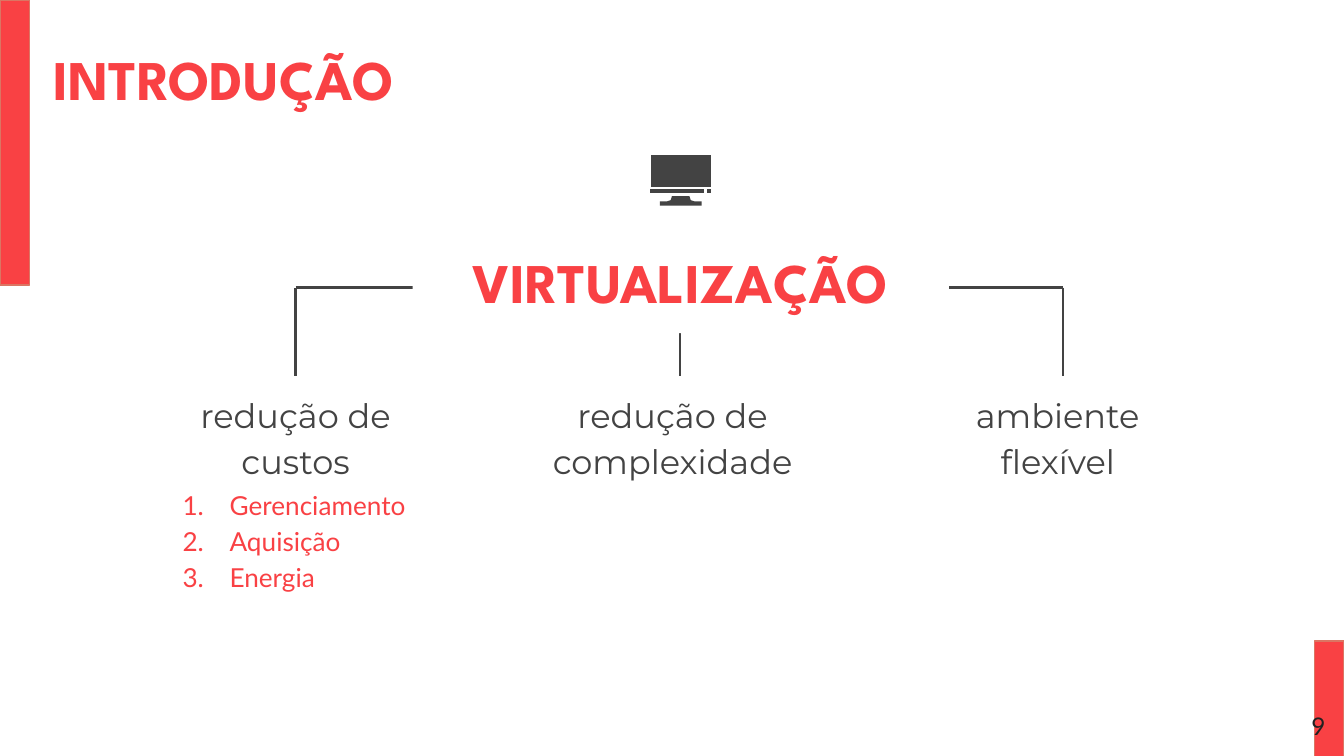
from lxml.etree import SubElement
from pptx import Presentation
from pptx.dml.color import RGBColor
from pptx.enum.shapes import MSO_CONNECTOR, MSO_SHAPE
from pptx.enum.text import MSO_ANCHOR, PP_ALIGN
from pptx.oxml.ns import qn
from pptx.util import Inches, Pt

COLORS = {
    "red": "F94144",
    "edge": "DB7563",
    "gray": "434343",
    "dark": "212121",
    "white": "FFFFFF",
}


def rgb(name):
    return RGBColor.from_string(COLORS[name])


def add_text(s, box, lines, font, size, color, align=PP_ALIGN.LEFT,
             anchor=MSO_ANCHOR.MIDDLE, bold=False, spacing=1.0):
    sp = s.shapes.add_textbox(*map(Inches, box))
    tf = sp.text_frame
    tf.word_wrap = True
    tf.vertical_anchor = anchor
    tf.margin_left = tf.margin_right = Inches(0.1)
    tf.margin_top = tf.margin_bottom = Inches(0.1)
    tf.text = "\n".join(lines)
    for p in tf.paragraphs:
        p.alignment = align
        p.line_spacing = spacing
        for r in p.runs:
            r.font.name = font
            r.font.size = Pt(size)
            r.font.bold = bold
            r.font.color.rgb = rgb(color)
    return sp


def add_heading(s, box, text, align):
    return add_text(s, box, [text], "League Spartan", 30, "red", align, bold=True)


def number_paragraphs(sp, color):
    for p in sp.text_frame.paragraphs:
        pPr = p._p.get_or_add_pPr()
        pPr.set("marL", str(Inches(0.5)))
        pPr.set("indent", str(Inches(-0.35)))
        clr = SubElement(pPr, qn("a:buClr"))
        SubElement(clr, qn("a:srgbClr"), val=COLORS[color])
        SubElement(pPr, qn("a:buAutoNum"), type="arabicPeriod")


def add_bar(s, box):
    sp = s.shapes.add_shape(MSO_SHAPE.RECTANGLE, *map(Inches, box))
    sp.shadow.inherit = False
    sp.fill.solid()
    sp.fill.fore_color.rgb = rgb("red")
    sp.line.color.rgb = rgb("edge")
    sp.line.width = Pt(0.75)


def add_line(s, *ends):
    line = s.shapes.add_connector(MSO_CONNECTOR.STRAIGHT, *map(Inches, ends))
    line.line.color.rgb = rgb("gray")
    line.line.width = Pt(1.5)
    SubElement(line._element.spPr, qn("a:effectLst"))


def add_outline(s, points):
    pts = [(Inches(x), Inches(y)) for x, y in points]
    fb = s.shapes.build_freeform(*pts[0])
    fb.add_line_segments(pts[1:], close=True)
    sp = fb.convert_to_shape()
    sp.shadow.inherit = False
    sp.fill.solid()
    sp.fill.fore_color.rgb = rgb("gray")
    sp.line.fill.background()


def add_monitor(s):
    add_outline(s, [(5, 1.46), (4.99, 1.49), (4.96, 1.5), (4.91, 1.5),
                    (4.91, 1.53), (5.22, 1.53), (5.22, 1.5), (5.17, 1.5),
                    (5.14, 1.49), (5.13, 1.46)])
    for x1, y1, x2, y2 in [(5.26, 1.41, 5.29, 1.44),
                           (4.84, 1.15, 5.29, 1.39),
                           (4.84, 1.41, 5.24, 1.44)]:
        add_outline(s, [(x1, y1), (x2, y1), (x2, y2), (x1, y2)])


def add_branches(s):
    top, bottom = 2.14, 2.8
    columns = [2.2, 5.06, 7.91]
    add_line(s, columns[0], top, columns[-1], top)
    for x in columns:
        add_line(s, x, top, x, bottom)


def main():
    prs = Presentation()
    prs.slide_width = Inches(10)
    prs.slide_height = prs.slide_width * 9 // 16
    s = prs.slides.add_slide(prs.slide_layouts[6])

    add_branches(s)
    for x, width, text in [(1.07, 2.26, "redução de custos"),
                           (3.69, 2.63, "redução de complexidade"),
                           (6.81, 2.12, "ambiente flexível")]:
        add_text(s, (x, 3.02, width, 0.43), [text], "Montserrat", 18, "gray",
                 PP_ALIGN.CENTER, spacing=1.15)
    savings = add_text(s, (1.11, 3.51, 2.19, 0.97),
                       ["Gerenciamento", "Aquisição", "Energia"],
                       "Lato", 14, "red", anchor=MSO_ANCHOR.TOP, spacing=1.15)
    number_paragraphs(savings, "red")

    topic = add_heading(s, (3.07, 1.7, 3.99, 0.78), "VIRTUALIZAÇÃO", PP_ALIGN.CENTER)
    topic.fill.solid()
    topic.fill.fore_color.rgb = rgb("white")
    add_monitor(s)

    add_bar(s, (0, 0, 0.22, 2.12))
    add_bar(s, (9.78, 4.77, 0.22, 0.86))
    add_heading(s, (0.3, 0.19, 3.8, 0.78), "INTRODUÇÃO", PP_ALIGN.LEFT)
    add_text(s, (9.36, 5.19, 0.6, 0.43), ["9"], "Lato", 13, "dark",
             PP_ALIGN.RIGHT, MSO_ANCHOR.TOP)
    prs.save("out.pptx")


if __name__ == "__main__":
    main()
